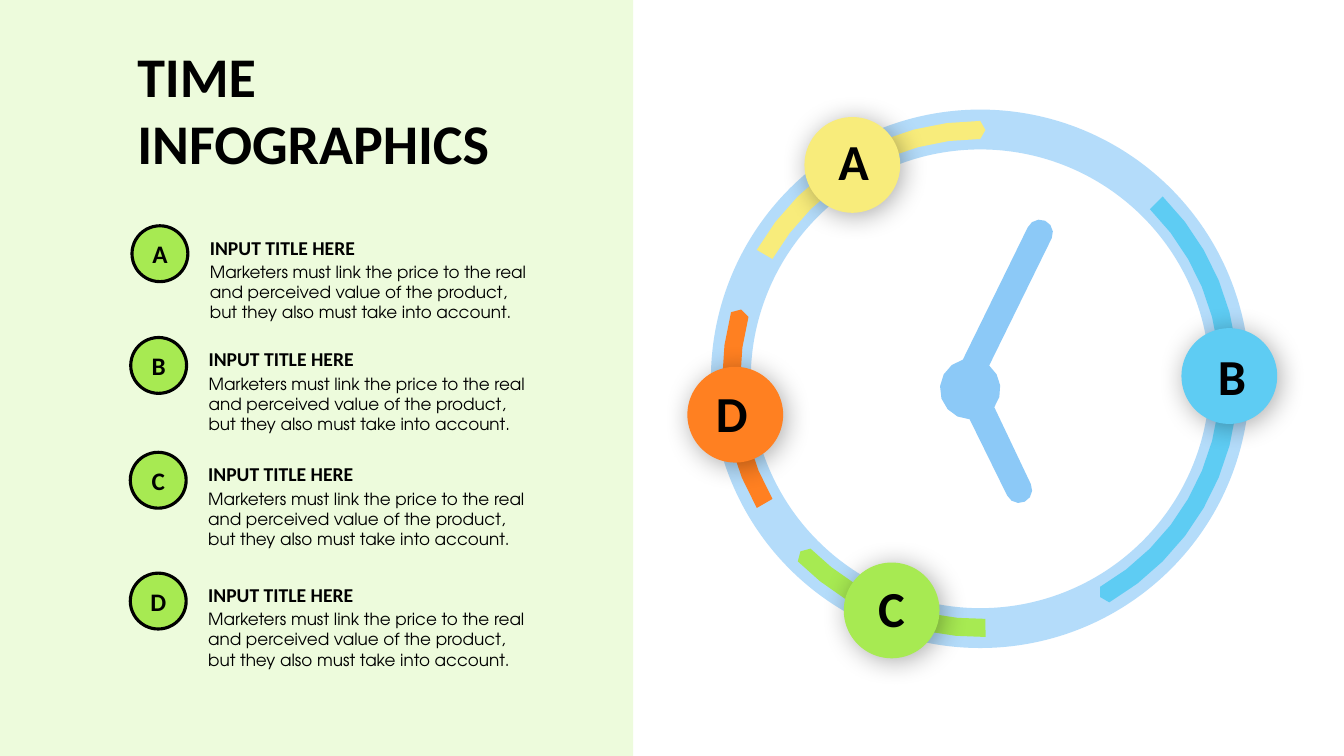
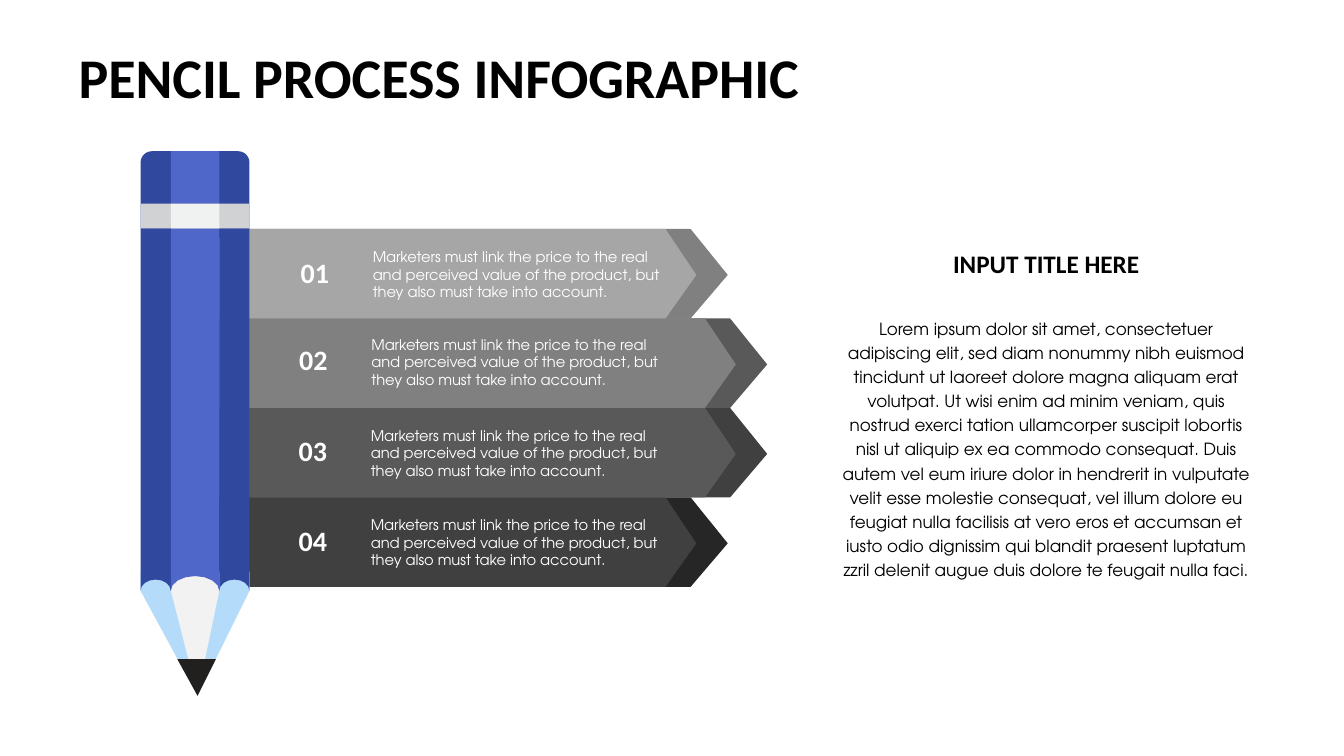
from math import atan2, ceil, cos, pi, radians, sin

from lxml import etree
from pptx import Presentation
from pptx.dml.color import RGBColor
from pptx.enum import shapes, text
from pptx.oxml import ns
from pptx.util import Pt

KIND = shapes.MSO_SHAPE
CENTER = text.PP_ALIGN.CENTER
LEFT = text.PP_ALIGN.LEFT
HEADING, BODY = "Calibri", "TeX Gyre Adventor"

COLORS = {
    "black": "000000", "white": "FFFFFF", "panel": "EDFBDC",
    "ring": "B4DCFA", "hand": "8CC9F7",
    "yellow": "F8EC7B", "sky": "5ECCF3", "lime": "A7EA52", "orange": "FF8021",
    "gray1": "A6A6A6", "gray2": "808080", "gray3": "595959",
    "gray4": "404040", "gray5": "262626",
    "wood": "F2F2F2", "wood side": "B4DCFA", "graphite": "221F1F",
    "paint": "4E67C8", "paint side": "31489F",
    "ferrule": "F0F1F1", "ferrule side": "D0D2D3",
}

SUBTITLE = "INPUT TITLE HERE"
MARKETERS = ("Marketers must link the price to the real and perceived value of "
             "the product, but they also must take into account.")
LOREM = ("Lorem ipsum dolor sit amet, consectetuer adipiscing elit, sed diam "
         "nonummy nibh euismod tincidunt ut laoreet dolore magna aliquam erat "
         "volutpat. Ut wisi enim ad minim veniam, quis nostrud exerci tation "
         "ullamcorper suscipit lobortis nisl ut aliquip ex ea commodo consequat. "
         "Duis autem vel eum iriure dolor in hendrerit in vulputate velit esse "
         "molestie consequat, vel illum dolore eu feugiat nulla facilisis at vero "
         "eros et accumsan et iusto odio dignissim qui blandit praesent luptatum "
         "zzril delenit augue duis dolore te feugait nulla faci.")

CLOCK_CENTER = (700.2, 270.7)
HUB = (693, 277.9)
HANDS = [{"end": (742.7, 166.3), "hub_arc": (91, 256)},
         {"end": (727.9, 349.9), "hub_arc": (-51, 37)}]
STAGES = [
    {"letter": "A", "color": "yellow", "arc": (210, 270),
     "badge": (608.8, 117.8), "label": (609.8, 114.8)},
    {"letter": "B", "color": "sky", "arc": (-45, 60),
     "badge": (878.1, 268.6), "label": (880, 268.4)},
    {"letter": "C", "color": "lime", "arc": (88.8, 135),
     "badge": (636.9, 436), "label": (636.8, 434.3)},
    {"letter": "D", "color": "orange", "arc": (150, 195),
     "badge": (525.2, 296.2), "label": (522.6, 295.2)},
]
LEGEND = [("A", 94.3, 161.3), ("B", 93.4, 241.1),
          ("C", 93.1, 323.1), ("D", 93.1, 409.4)]

STEPS = [
    {"number": "01", "colors": ("gray1", "gray2"), "shift": 0, "text": (259.2, 173.5)},
    {"number": "02", "colors": ("gray2", "gray3"), "shift": 28.2, "text": (258.2, 236.2)},
    {"number": "03", "colors": ("gray3", "gray4"), "shift": 28.2, "text": (257.8, 301)},
    {"number": "04", "colors": ("gray4", "gray5"), "shift": 0, "text": (257.8, 365)},
]


def color(name):
    return RGBColor.from_string(COLORS[name])


def paint(shape, fill, line=None):
    shape.shadow.inherit = False
    shape.fill.solid()
    shape.fill.fore_color.rgb = color(fill)
    if line:
        shape.line.color.rgb = color(line)
        shape.line.width = Pt(2.25)
    else:
        shape.line.fill.background()
    return shape


def preset(parent, kind, box, fill, line=None, adjust=None):
    shape = parent.shapes.add_shape(kind, *map(Pt, box))
    if adjust is not None:
        shape.adjustments[0] = adjust
    return paint(shape, fill, line)


def disc(parent, center, radius, fill):
    x, y = center
    box = (x - radius, y - radius, 2 * radius, 2 * radius)
    return preset(parent, KIND.OVAL, box, fill)


def outline(parent, points, fill):
    corners = [(Pt(x), Pt(y)) for x, y in points]
    builder = parent.shapes.build_freeform(*corners[0])
    builder.add_line_segments(corners[1:], close=True)
    return paint(builder.convert_to_shape(), fill)


def write(frame, lines, size, font, ink="black", align=LEFT, spacing=None):
    for i, line in enumerate(lines):
        paragraph = frame.paragraphs[0] if i == 0 else frame.add_paragraph()
        paragraph.alignment = align
        if spacing:
            paragraph.line_spacing = spacing
        run = paragraph.add_run()
        run.text = line
        run.font.size = Pt(size)
        run.font.name = font
        run.font.bold = font == HEADING
        run.font.color.rgb = color(ink)


def label(slide, box, lines, size, font=HEADING, wrap=True, **style):
    frame = slide.shapes.add_textbox(*map(Pt, box)).text_frame
    frame.word_wrap = wrap
    frame.auto_size = text.MSO_AUTO_SIZE.SHAPE_TO_FIT_TEXT
    write(frame, lines, size, font, **style)


def title(slide, box, *lines, wrap=True):
    label(slide, box, lines, 40, wrap=wrap)


def polar(center, radius, angle):
    return center[0] + radius * cos(angle), center[1] + radius * sin(angle)


def sweep(center, radius, start, end, stride):
    steps = ceil(abs(end - start) / radians(stride))
    return [polar(center, radius, start + (end - start) * i / steps)
            for i in range(steps + 1)]


def arc_arrow(slide, start, end, fill):
    inner, outer = 171.4, 184.3
    first, last = radians(start), radians(end)
    tip = polar(CLOCK_CENTER, (inner + outer) / 2, last + radians(1.2))
    points = sweep(CLOCK_CENTER, outer, first, last, 7.5) + [tip]
    outline(slide, points + sweep(CLOCK_CENTER, inner, last, first, 7.5), fill)


def clock_hands(slide):
    points = []
    for hand in HANDS:
        x, y = hand["end"]
        angle = atan2(y - HUB[1], x - HUB[0])
        points += sweep(HUB, 21.6, *map(radians, hand["hub_arc"]), 24)
        points += sweep((x, y), 9.4, angle - pi / 2, angle + pi / 2, 30)
    outline(slide, points, "hand")


def soft_shadow(shape):
    effects = shape._element.spPr.find(ns.qn("a:effectLst"))
    shadow = etree.SubElement(effects, ns.qn("a:outerShdw"), blurRad=str(Pt(19)),
                              dist=str(Pt(3)), dir="2700000", algn="tl",
                              rotWithShape="0")
    black = etree.SubElement(shadow, ns.qn("a:srgbClr"), val=COLORS["black"])
    etree.SubElement(black, ns.qn("a:alpha"), val="32000")


def time_slide(slide):
    preset(slide, KIND.RECTANGLE, (0, 0, 452.2, 540), "panel")
    preset(slide, KIND.DONUT, (507.8, 78.3, 384.8, 384.6), "ring", adjust=0.074)
    clock_hands(slide)
    for stage in STAGES:
        arc_arrow(slide, *stage["arc"], stage["color"])
    for stage in STAGES:
        soft_shadow(disc(slide, stage["badge"], 34.2, stage["color"]))
    title(slide, (91, 25.9, 339.8, 104.4), "TIME", "INFOGRAPHICS")
    for stage in STAGES:
        x, y = stage["label"]
        label(slide, (x - 31.7, y - 25.5, 63.4, 51), [stage["letter"]], 36, align=CENTER)
    for letter, x, y in LEGEND:
        label(slide, (x + 48.5, y + 22.1, 243.4, 51), [MARKETERS], 12, BODY)
        label(slide, (x + 48.5, y + 3.4, 131, 24.5), [SUBTITLE], 14)
        badge = preset(slide, KIND.OVAL, (x, y, 39.9, 39.9), "lime", "black")
        badge.text_frame.vertical_anchor = text.MSO_ANCHOR.MIDDLE
        write(badge.text_frame, [letter], 18, HEADING, align=CENTER)


def arched_strip(parent, left, right, top, bottom, rise, fill):
    half = (right - left) / 2
    arch = [(left + half + half * x, bottom + rise * y)
            for x, y in sweep((0, 0), 1, 0, -pi, 22.5)]
    outline(parent, [(left, top), (right, top)] + arch, fill)


def pencil(slide):
    group = slide.shapes.add_group_shape()
    left, inner_left, inner_right, right = 100.4, 122, 156.7, 178.2
    cap, ferrule, body, shoulder = 108, 145.4, 163.4, 422
    tip = (141.1, 497)
    outline(group, [(left, 409), (left, shoulder), tip, (right, shoulder), (right, 409)],
            "wood")
    for outer, inner in ((left, inner_left), (right, inner_right)):
        outline(group, [tip, (inner, shoulder), (inner, 408), (outer, 408),
                        (outer, shoulder)], "wood side")
    outline(group, [(126.7, 470.9), tip, (154.1, 470.9)], "graphite")
    preset(group, KIND.ROUNDED_RECTANGLE, (left, cap, right - left, 62),
           "paint side", adjust=0.13)
    preset(group, KIND.RECTANGLE, (left, ferrule, right - left, body - ferrule),
           "ferrule side")
    middle = inner_right - inner_left
    preset(group, KIND.RECTANGLE, (inner_left, cap, middle, ferrule - cap), "paint")
    preset(group, KIND.RECTANGLE, (inner_left, ferrule, middle, body - ferrule), "ferrule")
    for start, end, rise, fill in ((left, inner_left, 8, "paint side"),
                                   (inner_left, inner_right, 10.5, "paint"),
                                   (inner_right, right, 8, "paint side")):
        arched_strip(group, start, end, body, shoulder, rise, fill)


def ribbon(slide, left, shoulder, tip, top, height, fill):
    bottom = top + height
    outline(slide, [(left, bottom), (shoulder, bottom), (tip, top + 0.514 * height),
                    (shoulder, top), (left, top)], fill)


def pencil_slide(slide):
    label(slide, (590.1, 221, 314.6, 197.3), [LOREM], 12, BODY, align=CENTER, spacing=1.2)
    label(slide, (642.2, 173.5, 210.2, 28.8), [SUBTITLE], 18, align=CENTER)
    row_height = 63.9
    for i, step in reversed(list(enumerate(STEPS))):
        front, back = step["colors"]
        for edges, fill in (((123.1, 493.3, 519.8), back), ((105.1, 475.4, 497.4), front)):
            ribbon(slide, *(x + step["shift"] for x in edges),
                   163.6 + i * row_height, row_height, fill)
    pencil(slide)
    for step in STEPS:
        x, y = step["text"]
        label(slide, (x, y, 225.4, 45.4), [MARKETERS], 10.5, BODY, ink="white")
        label(slide, (x - 52.3, y + 5.2, 36, 31.7), [step["number"]], 20,
              wrap=False, ink="white", align=CENTER)
    title(slide, (49, 27.1, 558, 55.4), "PENCIL PROCESS INFOGRAPHIC", wrap=False)


def main():
    deck = Presentation()
    deck.slide_width, deck.slide_height = Pt(960), Pt(540)
    for build in (time_slide, pencil_slide):
        build(deck.slides.add_slide(deck.slide_layouts[6]))
    deck.save("out.pptx")


if __name__ == "__main__":
    main()
